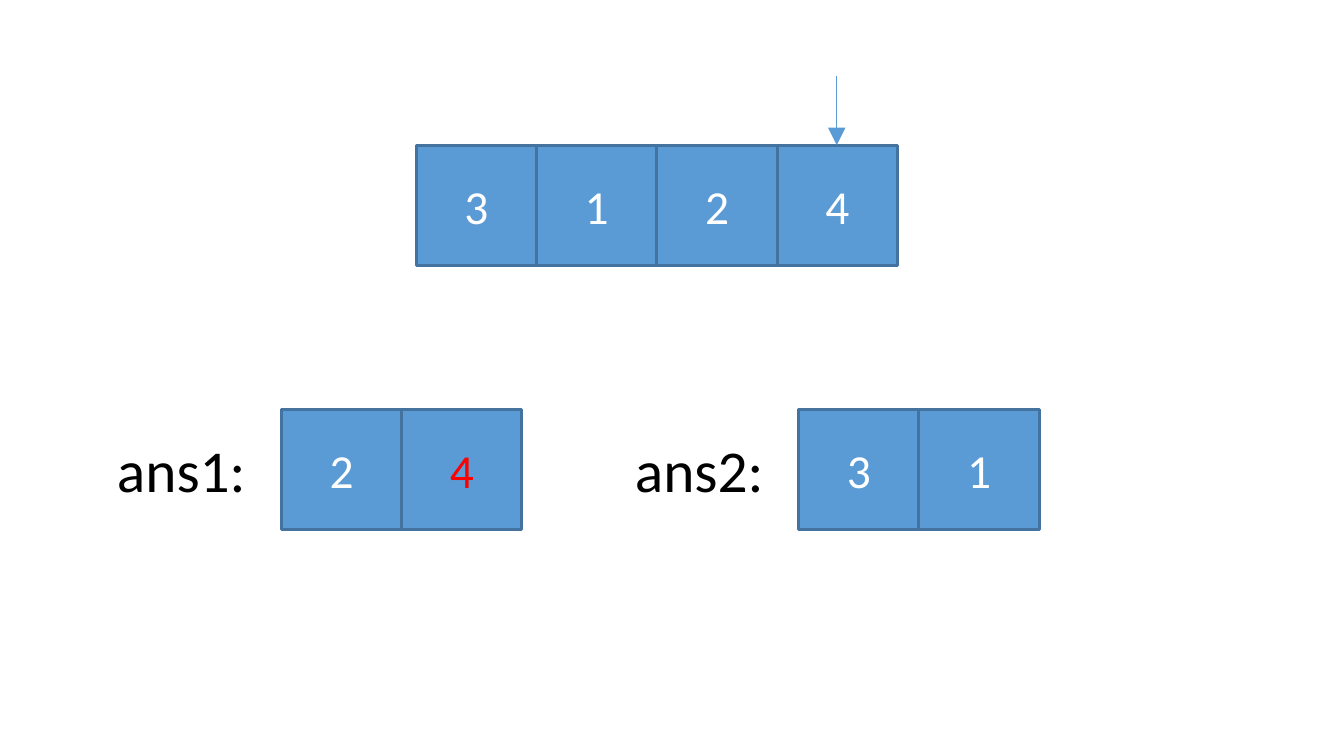
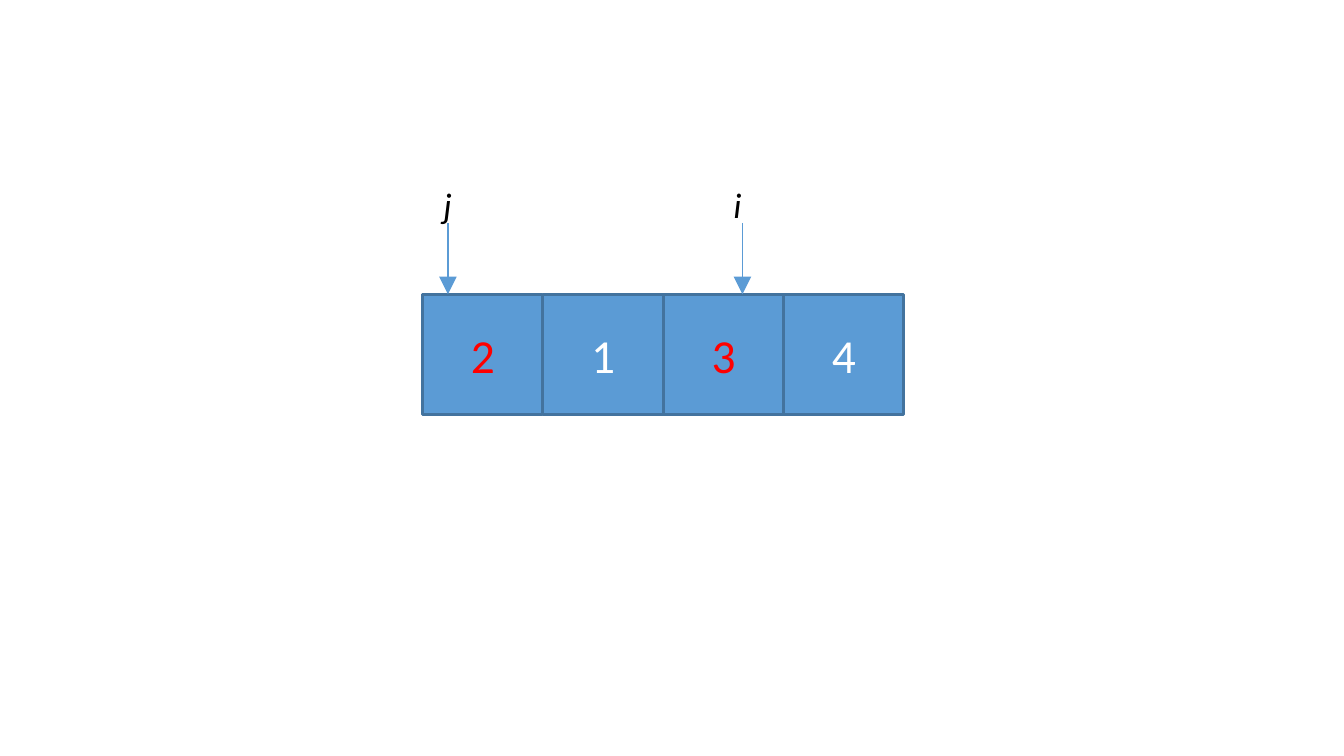
import dataclasses

import lxml.etree
import pptx
import pptx.dml.color
import pptx.enum.shapes
import pptx.enum.text
import pptx.oxml.ns
import pptx.presentation
import pptx.slide
import pptx.text.text
import pptx.util

Pt = pptx.util.Pt
qn = pptx.oxml.ns.qn

# Shared style, lengths in points
HUES = {"fill": "5B9BD5", "edge": "43739E", "white": "FFFFFF",
        "red": "FF0000", "black": "000000"}
FONT = "Calibri"
SIDE = 40.6


@dataclasses.dataclass
class Row:
    left: float
    top: float
    digits: str
    reds: str = ""


@dataclasses.dataclass
class Label:
    text: str
    left: float
    top: float
    width: float
    height: float
    size: float
    slant: bool = False


@dataclasses.dataclass
class Arrow:
    x: float
    top: float
    end: float


@dataclasses.dataclass
class Page:
    rows: list[Row]
    labels: list[Label]
    arrows: list[Arrow]


PAGES = [
    # Splitting the array into two answers
    Page(
        rows=[Row(140.5, 49, "3124"), Row(95, 138.2, "24", reds="4"),
              Row(269.6, 138.2, "31")],
        labels=[Label("ans1:", 32.4, 142.6, 72, 31.7, 20),
                Label("ans2:", 207.2, 142.6, 67.7, 31.7, 20)],
        arrows=[Arrow(282.4, 25.7, 49)],
    ),
    # Swapping the items at i and j
    Page(
        rows=[Row(142.7, 99.3, "2134", reds="23")],
        labels=[Label("i", 240.5, 58.3, 18.7, 21.6, 12, slant=True),
                Label("j", 142.6, 58.3, 18.7, 21.6, 12, slant=True)],
        arrows=[Arrow(151.2, 75.2, 99.3), Arrow(250.6, 75.2, 99.3)],
    ),
]


def color(name: str) -> pptx.dml.color.RGBColor:
    return pptx.dml.color.RGBColor.from_string(HUES[name])


def write(frame: pptx.text.text.TextFrame, text: str, size: float,
          hue: str, slant: bool = False) -> None:
    frame.text = text
    frame.word_wrap = True
    font = frame.paragraphs[0].runs[0].font
    font.name = FONT
    font.size = Pt(size)
    font.italic = slant
    font.color.rgb = color(hue)


def draw_row(slide: pptx.slide.Slide, row: Row) -> None:
    for i, digit in enumerate(row.digits):
        cell = slide.shapes.add_shape(
            pptx.enum.shapes.MSO_SHAPE.RECTANGLE,
            Pt(row.left + i * SIDE), Pt(row.top), Pt(SIDE), Pt(SIDE))
        cell.shadow.inherit = False
        cell.fill.solid()
        cell.fill.fore_color.rgb = color("fill")
        cell.line.color.rgb = color("edge")
        cell.line.width = Pt(1)
        frame = cell.text_frame
        write(frame, digit, 16, "red" if digit in row.reds else "white")
        frame.vertical_anchor = pptx.enum.text.MSO_ANCHOR.MIDDLE
        frame.paragraphs[0].alignment = pptx.enum.text.PP_ALIGN.CENTER


def draw_label(slide: pptx.slide.Slide, label: Label) -> None:
    box = slide.shapes.add_textbox(Pt(label.left), Pt(label.top),
                                   Pt(label.width), Pt(label.height))
    write(box.text_frame, label.text, label.size, "black", label.slant)
    box.text_frame.auto_size = pptx.enum.text.MSO_AUTO_SIZE.SHAPE_TO_FIT_TEXT


def draw_arrow(slide: pptx.slide.Slide, arrow: Arrow) -> None:
    line = slide.shapes.add_connector(
        pptx.enum.shapes.MSO_CONNECTOR.STRAIGHT,
        Pt(arrow.x), Pt(arrow.top), Pt(arrow.x), Pt(arrow.end))
    line.line.color.rgb = color("fill")
    line.line.width = Pt(0.5)
    # Arrowhead, and no shadow
    props = line.element.spPr
    lxml.etree.SubElement(props.find(qn("a:ln")), qn("a:tailEnd"),
                          type="triangle")
    lxml.etree.SubElement(props, qn("a:effectLst"))


def draw_page(deck: pptx.presentation.Presentation, page: Page) -> None:
    slide = deck.slides.add_slide(deck.slide_layouts[6])
    for row in page.rows:
        draw_row(slide, row)
    for label in page.labels:
        draw_label(slide, label)
    for arrow in page.arrows:
        draw_arrow(slide, arrow)


def main() -> None:
    deck = pptx.Presentation()
    deck.slide_width = Pt(453.6)
    deck.slide_height = Pt(255.12)
    for page in PAGES:
        draw_page(deck, page)
    deck.save("out.pptx")


if __name__ == "__main__":
    main()
